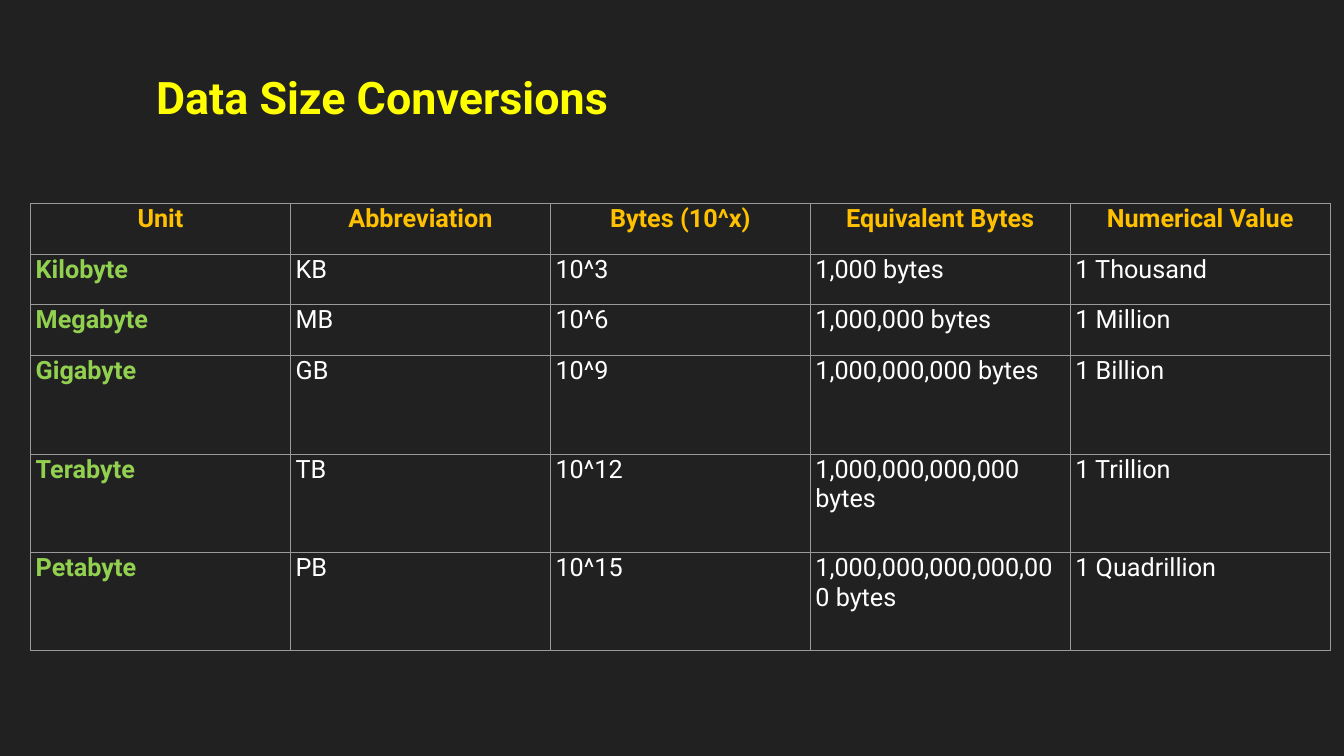
"""Build the slide on data size conversions."""
from dataclasses import dataclass

from lxml import etree
from pptx import Presentation
from pptx.dml.color import RGBColor
from pptx.enum import text
from pptx.oxml import ns
from pptx.util import Cm, Pt

HUES = {"back": "212121", "title": "FFFF00", "head": "FFC000",
        "unit": "92D050", "body": "FFFFFF", "line": "9A9A9A"}
LEFT, MID = text.PP_ALIGN.LEFT, text.PP_ALIGN.CENTER
HEADS = ["Unit", "Abbreviation", "Bytes (10^x)", "Equivalent Bytes", "Numerical Value"]
WIDE, LOW, TALL = 6.55, 1.28, 2.48


@dataclass
class Size:
    """A data unit with its power of ten and row height."""
    unit: str
    abbr: str
    power: int
    value: str
    high: float

    def cells(self) -> list[str]:
        """Return the texts of the row."""
        return [self.unit, self.abbr, f"10^{self.power}",
                f"{10 ** self.power:,} bytes", f"1 {self.value}"]


SIZES = [
    Size("Kilobyte", "KB", 3, "Thousand", LOW),
    Size("Megabyte", "MB", 6, "Million", LOW),
    Size("Gigabyte", "GB", 9, "Billion", TALL),
    Size("Terabyte", "TB", 12, "Trillion", TALL),
    Size("Petabyte", "PB", 15, "Quadrillion", TALL),
]


def write(frame, words: str, *, size: float = 18, hue: str = "body",
          bold: bool = False, align=LEFT) -> None:
    """Put formatted words in a text frame."""
    frame.text = words
    para = frame.paragraphs[0]
    para.alignment = align
    font = para.runs[0].font
    font.name, font.size, font.bold = "Roboto", Pt(size), bold
    font.color.rgb = RGBColor.from_string(HUES[hue])


def edge(cell) -> None:
    """Draw the four borders of a cell and clear its fill."""
    props = cell._tc.get_or_add_tcPr()
    for side in ("lnL", "lnR", "lnT", "lnB"):
        line = etree.SubElement(props, ns.qn(f"a:{side}"), w=str(Pt(0.75)))
        fill = etree.SubElement(line, ns.qn("a:solidFill"))
        etree.SubElement(fill, ns.qn("a:srgbClr"), val=HUES["line"])
    cell.fill.background()


def grid(slide) -> None:
    """Add the table of units."""
    rows = [HEADS] + [size.cells() for size in SIZES]
    highs = [LOW] + [size.high for size in SIZES]
    table = slide.shapes.add_table(
        len(rows), len(HEADS), Cm(0.77), Cm(5.12),
        Cm(WIDE * len(HEADS)), Cm(sum(highs))).table
    table.first_row = table.horz_banding = False
    for col in table.columns:
        col.width = Cm(WIDE)
    for r, (row, high) in enumerate(zip(rows, highs)):
        table.rows[r].height = Cm(high)
        for c, words in enumerate(row):
            cell = table.cell(r, c)
            cell.margin_left = cell.margin_right = Cm(0.13)
            cell.margin_top = cell.margin_bottom = Cm(0.02)
            hue = "head" if r == 0 else "unit" if c == 0 else "body"
            write(cell.text_frame, words, hue=hue, bold=hue != "body",
                  align=MID if r == 0 else LEFT)
            edge(cell)


def main() -> None:
    """Build and save the slide."""
    deck = Presentation()
    deck.slide_width, deck.slide_height = Cm(33.87), Cm(19.05)
    slide = deck.slides.add_slide(deck.slide_layouts[5])
    back = slide.background.fill
    back.solid()
    back.fore_color.rgb = RGBColor.from_string(HUES["back"])
    title = slide.shapes.title
    title.left, title.top, title.width, title.height = Cm(3.68), Cm(1.63), Cm(12.78), Cm(2.39)
    frame = title.text_frame
    write(frame, "Data Size Conversions", size=32, hue="title", bold=True)
    frame.word_wrap = False
    frame.auto_size = text.MSO_AUTO_SIZE.NONE
    frame.vertical_anchor = text.MSO_ANCHOR.TOP
    grid(slide)
    deck.save("out.pptx")


if __name__ == "__main__":
    main()
